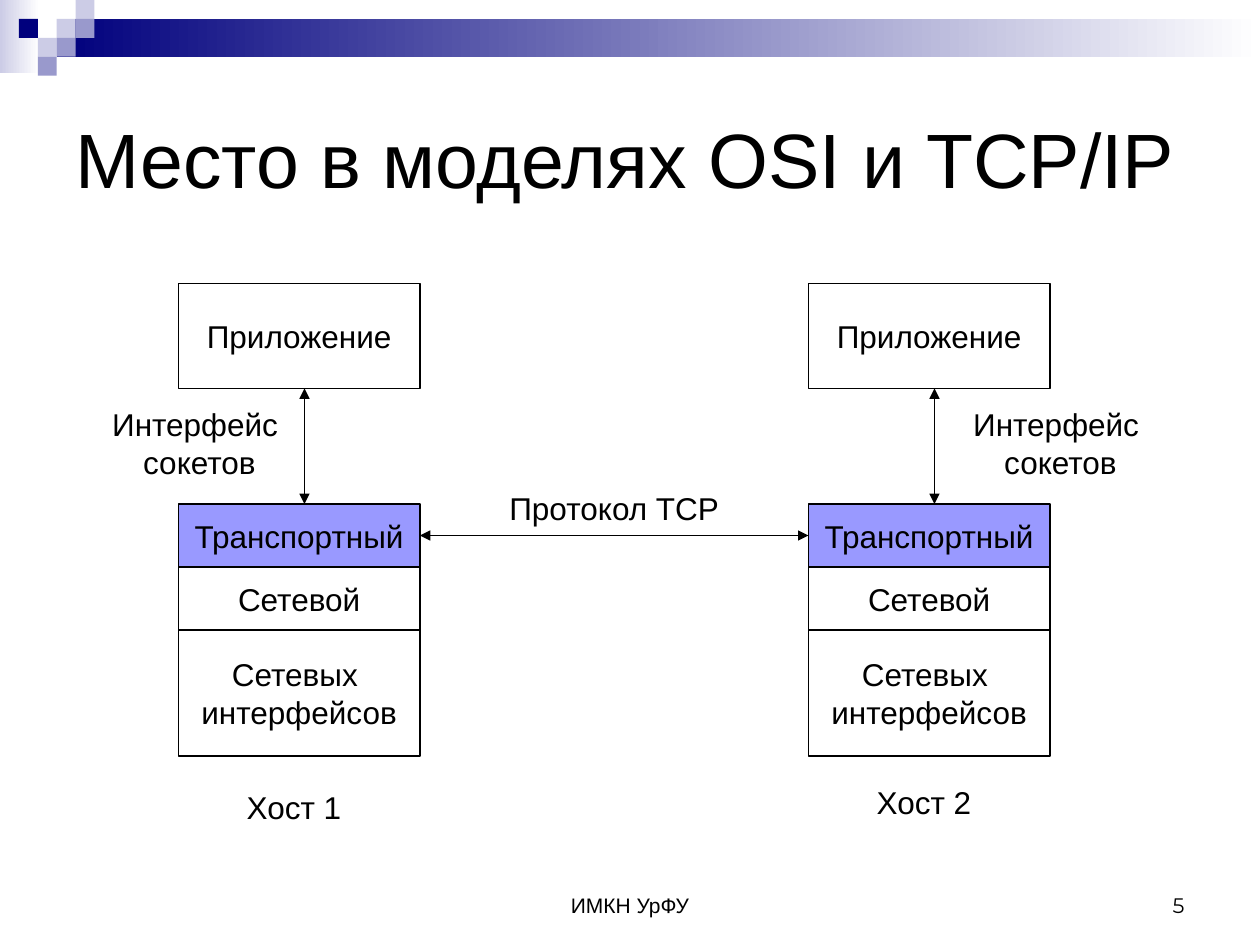
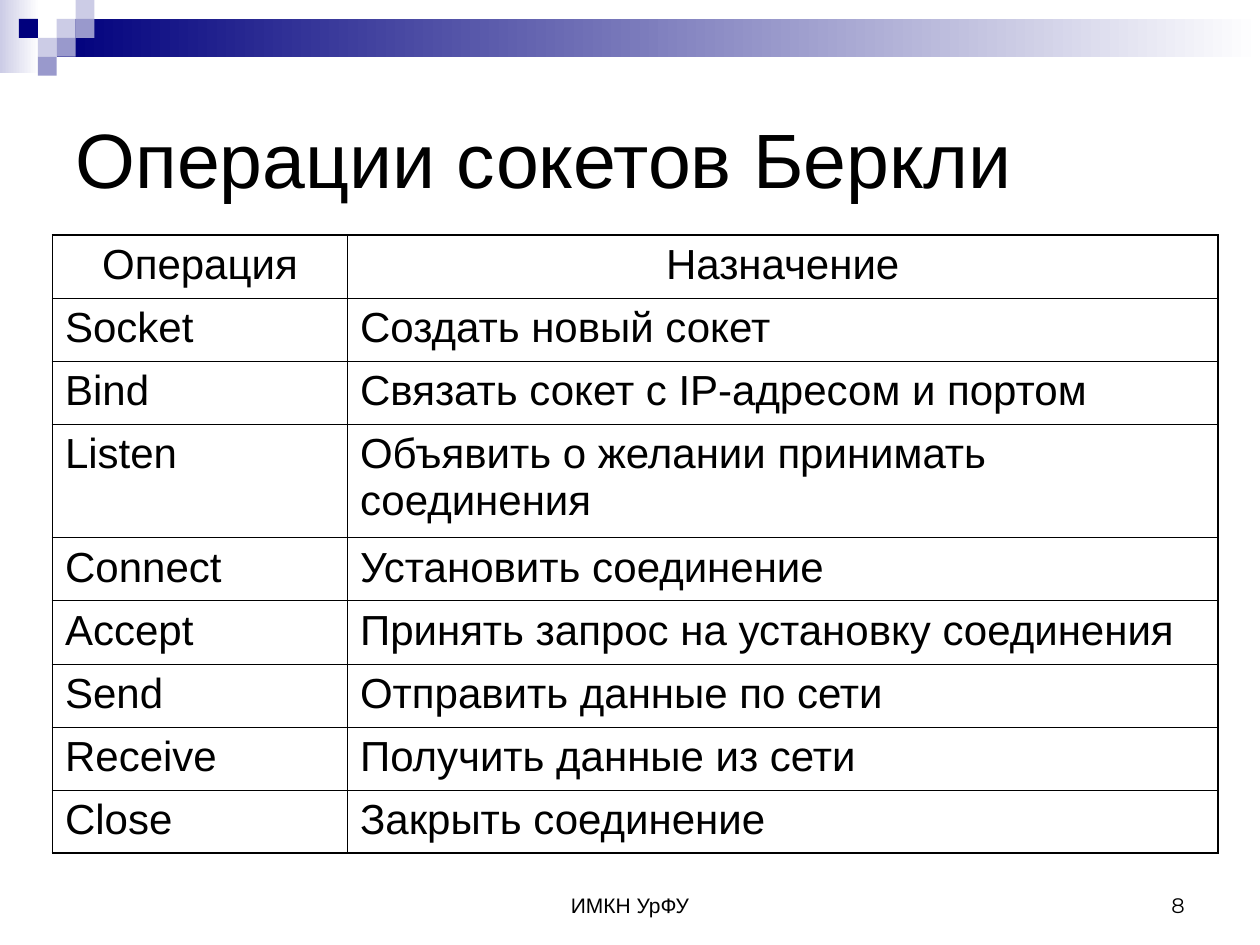
from lxml.etree import SubElement
from pptx import Presentation
from pptx.dml.color import RGBColor
from pptx.enum.shapes import MSO_CONNECTOR as Link, MSO_SHAPE as Shape
from pptx.enum.text import MSO_ANCHOR as Anchor, MSO_AUTO_SIZE as Fit, PP_ALIGN as Align
from pptx.oxml.ns import qn
from pptx.util import Inches, Pt

WIDTH, HEIGHT = Inches(10), Inches(7.5)
UNIT = WIDTH / 120  # the slide is a grid of 120 columns and 90 rows
TILE = 1.8  # side of a corner tile, in grid units

BLACK = RGBColor(0, 0, 0)
WHITE = RGBColor(0xFF, 0xFF, 0xFF)
NAVY = RGBColor(0x00, 0x00, 0x7D)
MIST = RGBColor(0xCC, 0xCC, 0xE6)
HAZE = RGBColor(0x99, 0x99, 0xCC)
LILAC = RGBColor(0x99, 0x99, 0xFF)

TILES = [(3, 1, MIST), (4, 0, MIST), (4, 1, HAZE), (2, 2, MIST),
         (1, 1, NAVY), (3, 2, HAZE), (2, 3, HAZE)]
FOOTER = "ИМКН УрФУ"

# name, first row within the host, rows, fill
LAYERS = [("Приложение", 0, 10, None), ("Транспортный", 21, 6, LILAC),
          ("Сетевой", 27, 6, None), ("Сетевых \nинтерфейсов", 33, 12, None)]

CALLS = [("Операция", "Назначение"),
         ("Socket", "Создать новый сокет"),
         ("Bind", "Связать сокет с IP-адресом и портом"),
         ("Listen", "Объявить о желании принимать соединения"),
         ("Connect", "Установить соединение"),
         ("Accept", "Принять запрос на установку соединения"),
         ("Send", "Отправить данные по сети"),
         ("Receive", "Получить данные из сети"),
         ("Close", "Закрыть соединение")]


def grid(*units):
    """Turn grid units into slide lengths."""
    return [round(unit * UNIT) for unit in units]


def write(frame, text, size=18, font="Arial", align=Align.CENTER, before=0):
    """Fill a text frame, one paragraph for each line."""
    frame.text = text
    for para in frame.paragraphs:
        para.alignment = align
        para.space_before = Pt(before)
        para.font.size = Pt(size)
        para.font.name = font
        para.font.color.rgb = BLACK


def label(slide, box, text, anchor=Anchor.TOP, **style):
    frame = slide.shapes.add_textbox(*grid(*box)).text_frame
    frame.word_wrap = True
    frame.vertical_anchor = anchor
    write(frame, text, **style)


def block(slide, box, *fill):
    """Add a plain rectangle: no colour, one colour, or a fade of two."""
    rect = slide.shapes.add_shape(Shape.RECTANGLE, *grid(*box))
    rect.shadow.inherit = False
    rect.line.fill.background()
    if len(fill) == 2:
        rect.fill.gradient()
        rect.fill.gradient_angle = 0
        for stop, color in zip(rect.fill.gradient_stops, fill):
            stop.color.rgb = color
    elif fill:
        rect.fill.solid()
        rect.fill.fore_color.rgb = fill[0]
    else:
        rect.fill.background()
    return rect


def layer(slide, box, text, fill):
    rect = block(slide, box, *([fill] if fill else []))
    rect.line.color.rgb = BLACK
    rect.line.width = Pt(0.75)
    frame = rect.text_frame
    frame.word_wrap = False
    frame.vertical_anchor = Anchor.MIDDLE
    write(frame, text)
    return rect


def arrow(slide, *ends):
    """Add a line with a head at both ends."""
    line = slide.shapes.add_connector(Link.STRAIGHT, *grid(*ends))
    line.line.color.rgb = BLACK
    line.line.width = Pt(0.75)
    props = line.element.spPr
    for tag in ("a:headEnd", "a:tailEnd"):
        SubElement(props.find(qn("a:ln")), qn(tag), type="triangle")
    SubElement(props, qn("a:effectLst"))
    return line


def band(slide):
    block(slide, (0, 0, 3.75, 7), MIST, WHITE)
    block(slide, (3 * TILE, TILE, 120 - 3 * TILE, 2 * TILE), NAVY, WHITE)
    for col, row, color in TILES:
        block(slide, (col * TILE, row * TILE, TILE, TILE), color)


def start(deck, title, number):
    """Add a slide with the shared band, title and footer."""
    slide = deck.slides.add_slide(deck.slide_layouts[5])
    band(slide)
    head = slide.shapes.title
    head.left, head.top, head.width, head.height = grid(6, 6, 108, 18)
    frame = head.text_frame
    frame.auto_size = Fit.NONE
    frame.vertical_anchor = Anchor.MIDDLE
    write(frame, title, size=44, align=Align.LEFT)
    label(slide, (41, 82, 38, 6), FOOTER, Anchor.BOTTOM, size=12)
    label(slide, (86, 82, 28, 6), str(number), Anchor.BOTTOM, size=12,
          font="Montserrat", align=Align.RIGHT)
    return slide


def host(slide, box, name, drop, side):
    """Draw a host; drop is the row of its name, side the column of the socket label."""
    left, top, width, _ = box
    rects = [layer(slide, (left, top + row, width, rows), text, fill)
             for text, row, rows, fill in LAYERS]
    arrow(slide, left + 12, top + 10, left + 12, top + 21)
    label(slide, (left + side, top + 11, 20, 8.4), "Интерфейс \nсокетов")
    label(slide, (left - 1, top + drop, 24, 4.8), name)
    return rects[1]


def model(deck):
    slide = start(deck, "Место в моделях OSI и TCP/IP", 5)
    first = host(slide, (17, 27, 23, 45), "Хост 1", 47.5, -8)
    second = host(slide, (77, 27, 23, 45), "Хост 2", 47, 14)
    link = arrow(slide, 40, 51, 77, 51)
    link.begin_connect(first, 3)
    link.end_connect(second, 1)
    label(slide, (41, 46, 35, 4.8), "Протокол TCP")


def border(cell, thick):
    """Rule all four sides of a cell, heavier on the sides in thick."""
    props = cell._tc.get_or_add_tcPr()
    for side in "LRTB":
        width = Pt(1.08 if side in thick else 0.45)
        line = SubElement(props, qn(f"a:ln{side}"), w=str(width))
        fill = SubElement(line, qn("a:solidFill"))
        SubElement(fill, qn("a:srgbClr"), val=str(BLACK))


def listing(slide, box, rows, tall):
    """Draw the table; the row numbered tall holds two lines."""
    table = slide.shapes.add_table(len(rows), 2, *grid(*box)).table
    table.first_row = table.horz_banding = False
    table.columns[0].width, table.columns[1].width = grid(28.1, box[2] - 28.1)
    last = len(rows) - 1
    for row, texts in enumerate(rows):
        table.rows[row].height = grid(10.8 if row == tall else 6)[0]
        for col, text in enumerate(texts):
            cell = table.cell(row, col)
            thick = "LR"[col] + "T" * (row == 0) + "B" * (row == last)
            border(cell, thick)
            cell.fill.background()
            write(cell.text_frame, text, size=24, before=6,
                  align=Align.LEFT if row else Align.CENTER)


def calls(deck):
    slide = start(deck, "Операции сокетов Беркли", 8)
    listing(slide, (5, 22.4, 111, 58.8), CALLS, tall=3)


def main():
    deck = Presentation()
    deck.slide_width, deck.slide_height = WIDTH, HEIGHT
    model(deck)
    calls(deck)
    deck.save("out.pptx")


if __name__ == "__main__":
    main()
